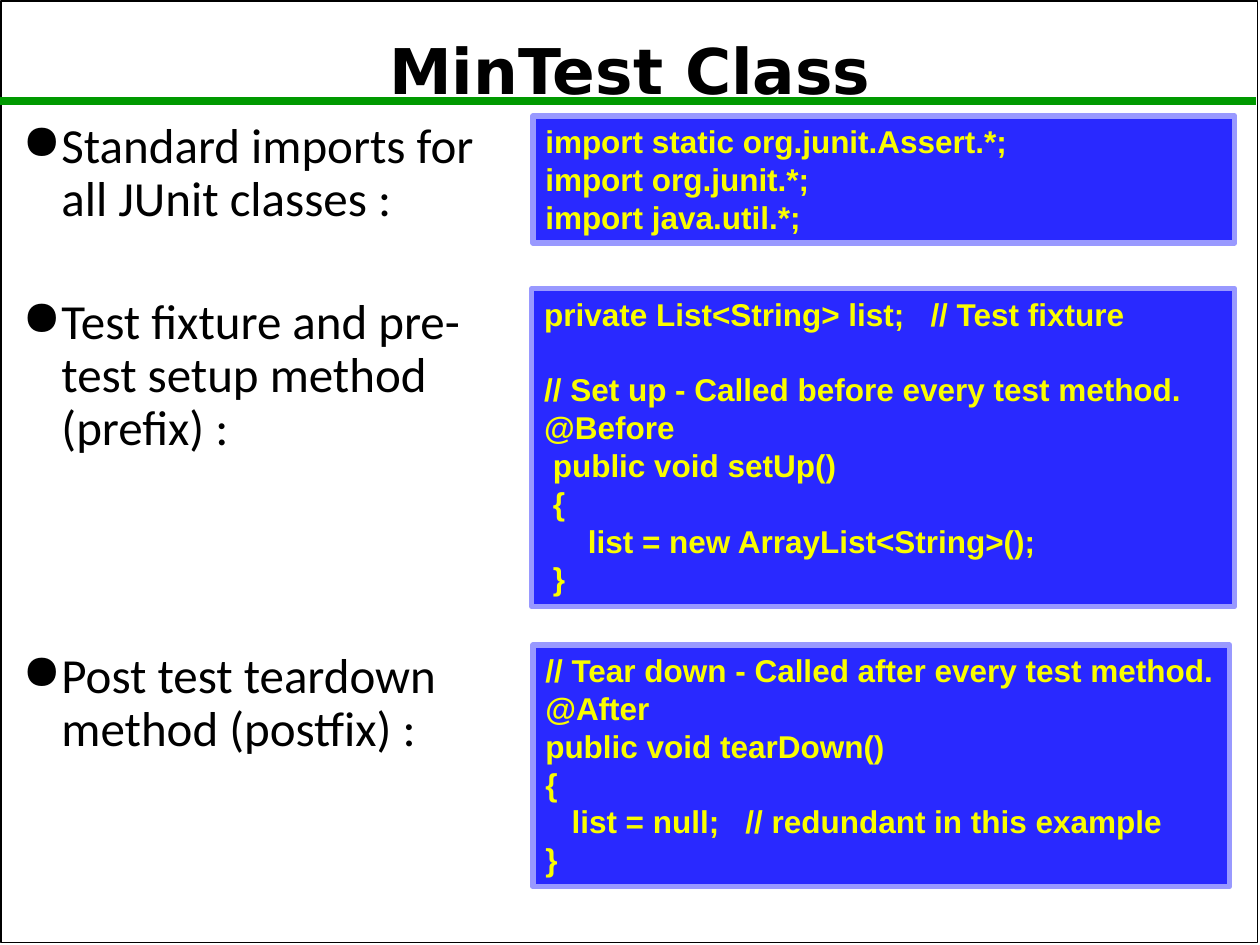
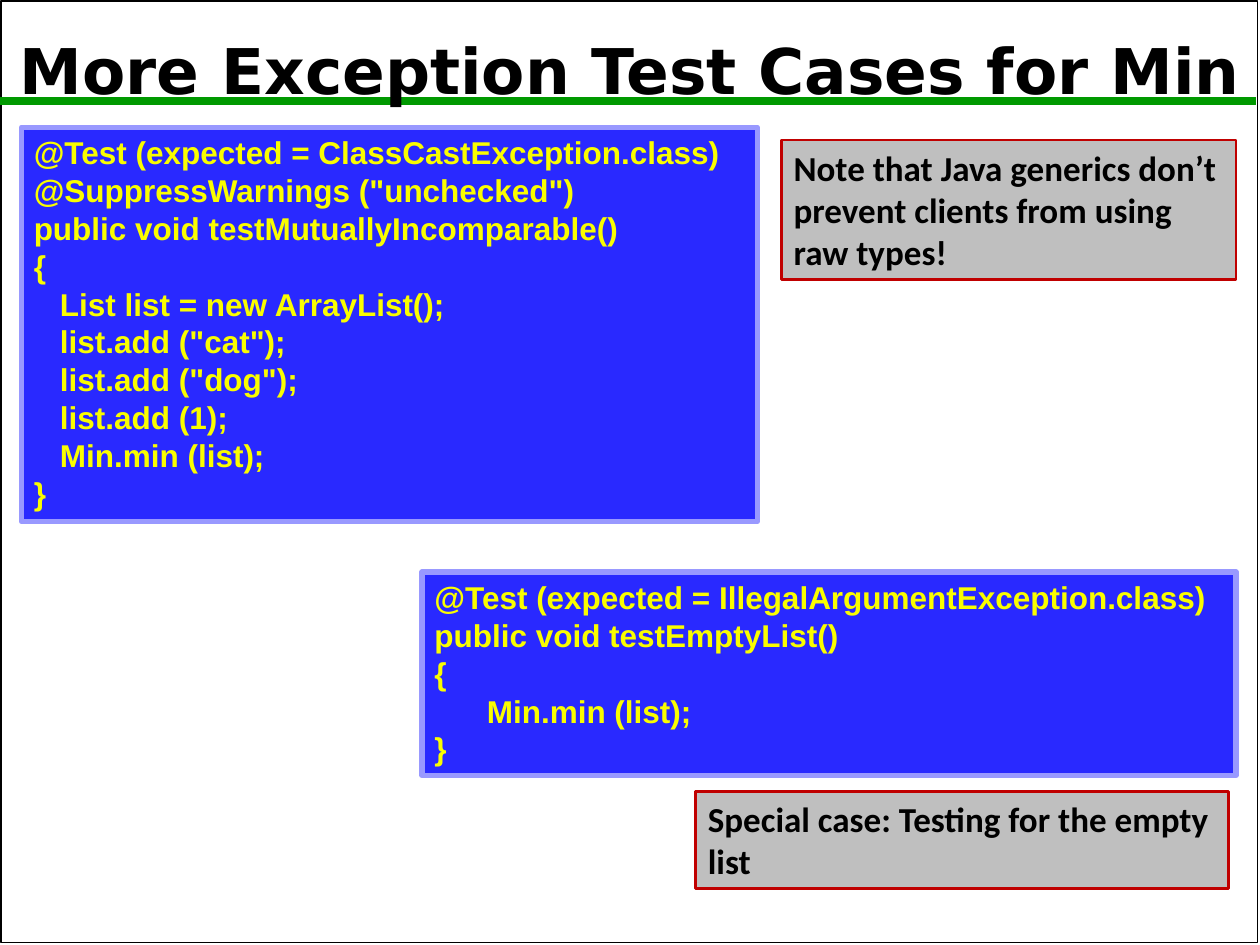
from dataclasses import dataclass

import pptx
import pptx.dml.color
import pptx.enum.shapes
import pptx.enum.text
import pptx.oxml.ns
import pptx.util
from lxml import etree

COLUMNS, ROWS = 100, 75


@dataclass(frozen=True)
class TextStyle:
    font: str
    size: float
    color: str
    bold: bool = False


@dataclass(frozen=True)
class Theme:
    ink: str = "000000"
    rule: str = "009900"
    code_fill: str = "2929FF"
    code_edge: str = "9999FF"
    note_fill: str = "BFBFBF"
    note_edge: str = "C00000"
    title: TextStyle = TextStyle("DejaVu Sans", 36, "000000", True)
    bullet: TextStyle = TextStyle("Calibri", 28, "000000")
    code: TextStyle = TextStyle("Arial", 18, "FAFD00", True)
    note: TextStyle = TextStyle("Calibri", 20, "000000", True)
    code_pitch: float = 21.6
    tight: float = 0.9


THEME = Theme()

# Each topic: top row of its bullet, wording, (column, row, width) of its code.
MIN_TEST_TOPICS = [
    (9.1, "Standard imports for all JUnit classes :", (42.3, 9.2, 55.7),
     """import static org.junit.Assert.*;
import org.junit.*;
import java.util.*;"""),
    (23.1, "Test fixture and pre-test setup method (prefix) :", (42.2, 22.9, 55.8),
     """private List<String> list;   // Test fixture

// Set up - Called before every test method.
@Before
 public void setUp()
 {
     list = new ArrayList<String>();
 }"""),
    (51.2, "Post test teardown method (postfix) :", (42.3, 51.2, 55.3),
     """// Tear down - Called after every test method.
@After
public void tearDown()
{
   list = null;   // redundant in this example
}"""),
]

# Each case: (column, row, width) of its code, the code, box of its note, the note.
EXCEPTION_CASES = [
    ((1.7, 10.1, 58.4),
     """@Test (expected = ClassCastException.class)
@SuppressWarnings ("unchecked")
public void testMutuallyIncomparable()
{
   List list = new ArrayList();
   list.add ("cat");
   list.add ("dog");
   list.add (1);
   Min.min (list);
}""",
     (62, 11.1, 36.1, 11.1),
     "Note that Java generics don’t prevent clients from using raw types!"),
    ((33.5, 45.4, 64.6),
     """@Test (expected = IllegalArgumentException.class)
public void testEmptyList()
{
      Min.min (list);
}""",
     (55.2, 62.8, 42.3, 7.7),
     "Special case: Testing for the empty list"),
]


def rgb(value):
    return pptx.dml.color.RGBColor.from_string(value)


def place(*grid_lengths):
    """Turn grid units, ten to the inch, into slide lengths."""
    return [pptx.util.Inches(length / 10) for length in grid_lengths]


def write(frame, lines, style):
    frame.word_wrap = True
    frame.text = "\n".join(lines)
    for paragraph in frame.paragraphs:
        paragraph.alignment = pptx.enum.text.PP_ALIGN.LEFT
        for run in paragraph.runs:
            run.font.name = style.font
            run.font.size = pptx.util.Pt(style.size)
            run.font.bold = style.bold
            run.font.color.rgb = rgb(style.color)


def add_panel(slide, box, edge, edge_width, fill=None):
    panel = slide.shapes.add_shape(
        pptx.enum.shapes.MSO_SHAPE.RECTANGLE, *place(*box))
    panel.shadow.inherit = False
    if fill:
        panel.fill.solid()
        panel.fill.fore_color.rgb = rgb(fill)
    else:
        panel.fill.background()
    panel.line.color.rgb = rgb(edge)
    panel.line.width = pptx.util.Pt(edge_width)
    panel.text_frame.vertical_anchor = pptx.enum.text.MSO_ANCHOR.TOP
    return panel


def add_code(slide, spot, code):
    """Code panel whose height follows its line count; blank lines become space."""
    lines = code.split("\n")
    height = 1 + 3.03 * len(lines)
    panel = add_panel(slide, (*spot, height), THEME.code_edge, 3, THEME.code_fill)
    write(panel.text_frame, [line for line in lines if line], THEME.code)
    after_blank = [not before for before, line in zip(["x"] + lines, lines) if line]
    for paragraph, has_gap in zip(panel.text_frame.paragraphs, after_blank):
        paragraph.line_spacing = pptx.util.Pt(THEME.code_pitch)
        if has_gap:
            paragraph.space_before = pptx.util.Pt(THEME.code_pitch)


def add_note(slide, box, wording):
    note = add_panel(slide, box, THEME.note_edge, 1.5, THEME.note_fill)
    write(note.text_frame, [wording], THEME.note)


def add_bullet(slide, row, wording):
    topic = slide.shapes.add_textbox(*place(0.8, row, 42, 11.8))
    write(topic.text_frame, [wording], THEME.bullet)
    paragraph = topic.text_frame.paragraphs[0]
    paragraph.line_spacing = THEME.tight
    properties = paragraph._p.get_or_add_pPr()
    indent = pptx.util.Inches(0.31)
    properties.set("marL", str(indent))
    properties.set("indent", str(-indent))
    qn = pptx.oxml.ns.qn
    color = etree.SubElement(properties, qn("a:buClr"))
    etree.SubElement(color, qn("a:srgbClr"), val=THEME.ink)
    etree.SubElement(properties, qn("a:buChar"), char="●")


def start_slide(deck, heading):
    """Blank slide with the shared frame, green rule and title."""
    slide = deck.slides.add_slide(deck.slide_layouts[6])
    add_panel(slide, (0.1, 0.1, COLUMNS - 0.3, ROWS - 0.3), THEME.ink, 1)

    rule = slide.shapes.add_connector(
        pptx.enum.shapes.MSO_CONNECTOR.STRAIGHT, *place(0, 8, COLUMNS - 0.3, 8))
    rule.line.color.rgb = rgb(THEME.rule)
    rule.line.width = pptx.util.Pt(4.5)
    etree.SubElement(rule._element.spPr, pptx.oxml.ns.qn("a:effectLst"))

    title = slide.shapes.add_textbox(*place(0.5, 1.1, COLUMNS - 1, 9.5))
    write(title.text_frame, [heading], THEME.title)
    title.text_frame.vertical_anchor = pptx.enum.text.MSO_ANCHOR.MIDDLE
    paragraph = title.text_frame.paragraphs[0]
    paragraph.alignment = pptx.enum.text.PP_ALIGN.CENTER
    paragraph.line_spacing = THEME.tight
    return slide


def build_min_test(deck):
    slide = start_slide(deck, "MinTest Class")
    for row, wording, code_spot, code in MIN_TEST_TOPICS:
        add_bullet(slide, row, wording)
        add_code(slide, code_spot, code)


def build_exception_cases(deck):
    slide = start_slide(deck, "More Exception Test Cases for Min")
    for code_spot, code, note_box, note in EXCEPTION_CASES:
        add_code(slide, code_spot, code)
        add_note(slide, note_box, note)


def main():
    deck = pptx.Presentation()
    deck.slide_width, deck.slide_height = place(COLUMNS, ROWS)
    build_min_test(deck)
    build_exception_cases(deck)
    deck.save("out.pptx")


if __name__ == "__main__":
    main()
